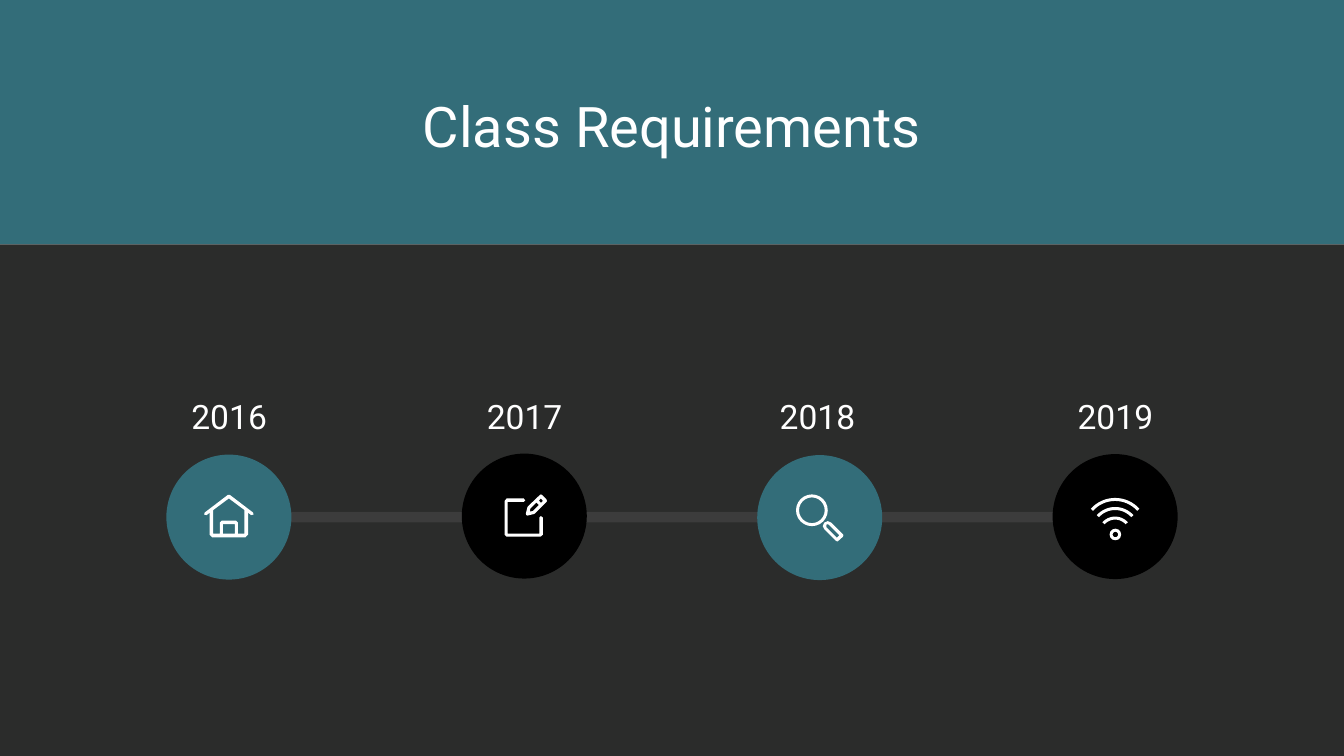
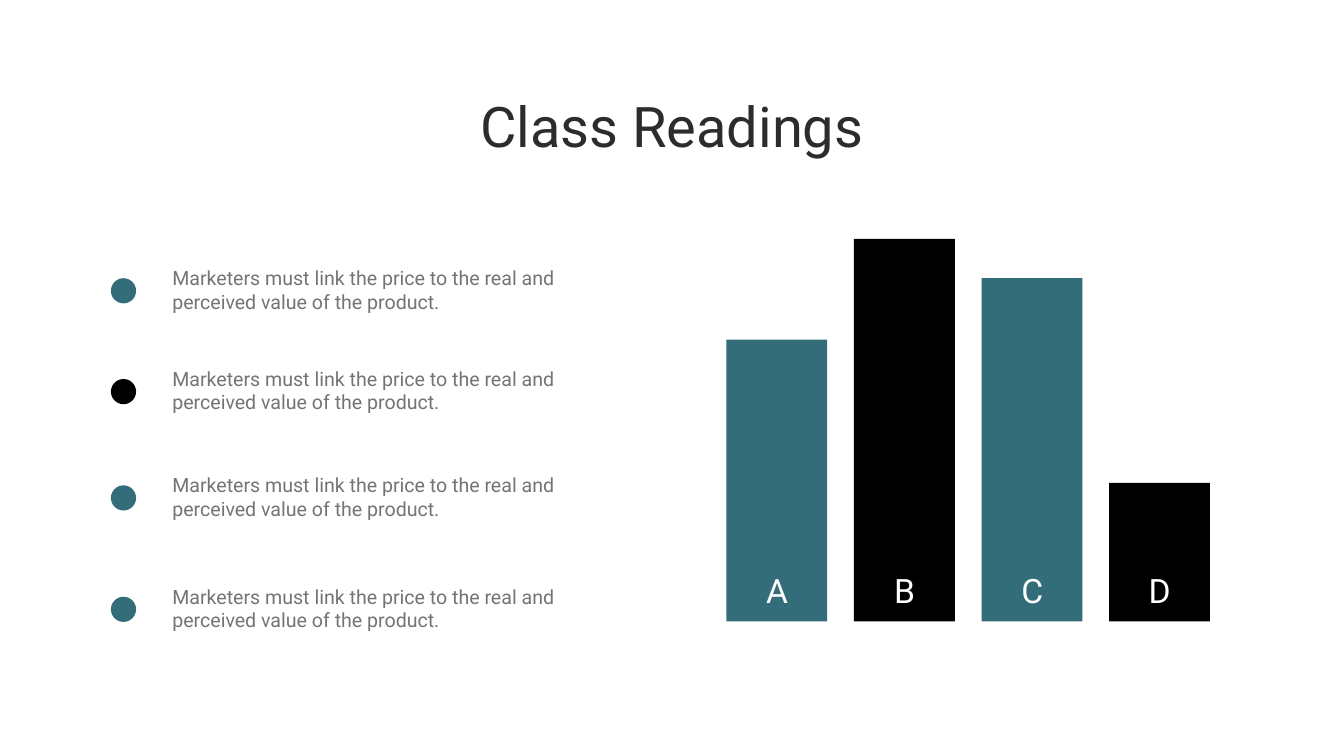
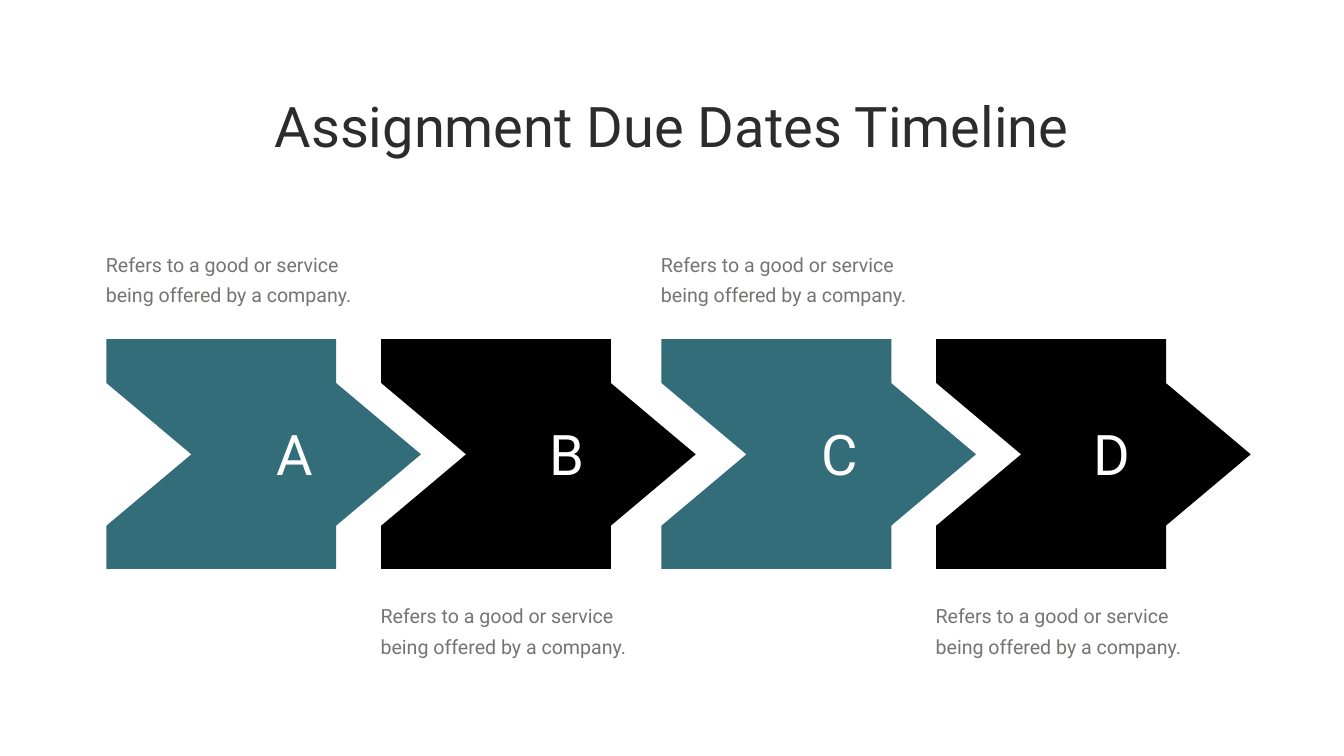
from math import cos, radians, sin

from lxml import etree
from pptx import Presentation
from pptx.dml.color import RGBColor
from pptx.enum.shapes import MSO_CONNECTOR, MSO_SHAPE
from pptx.enum.text import MSO_ANCHOR, MSO_AUTO_SIZE, PP_ALIGN
from pptx.oxml.ns import qn
from pptx.util import Inches, Pt

RECT, OVAL = MSO_SHAPE.RECTANGLE, MSO_SHAPE.OVAL
RING, WEDGE = MSO_SHAPE.DONUT, MSO_SHAPE.ISOSCELES_TRIANGLE
STRAIGHT = MSO_CONNECTOR.STRAIGHT
LEFT, CENTER = PP_ALIGN.LEFT, PP_ALIGN.CENTER
TOP, FIXED = MSO_ANCHOR.TOP, MSO_AUTO_SIZE.NONE

TEAL = RGBColor(0x33, 0x6D, 0x79)
BLACK = RGBColor(0, 0, 0)
DARK = RGBColor(0x2B, 0x2C, 0x2B)
GRAY = RGBColor(0x73, 0x75, 0x72)
RAIL = RGBColor(0x80, 0x80, 0x80)
WHITE = RGBColor(0xFF, 0xFF, 0xFF)
FONT = "Roboto"
WIDTH, HEIGHT = 26.66, 15
BAND = 4.85

# Icon outlines, in hundredths of an inch from the centre of the disc
HOUSE = (
    ((48, -9), (2, -44), (-2, -44), (-48, -9), (-49, -5), (-44, -4), (-38, -9),
     (-38, 35), (-33, 40), (33, 40), (38, 35), (38, -9), (44, -4), (49, -5)),
    ((31, 33), (18, 33), (18, 11), (14, 7), (-14, 7), (-18, 11), (-18, 33),
     (-31, 33), (-31, -14), (0, -37), (31, -14)),
    ((12, 33), (-12, 33), (-12, 14), (12, 14)),
)
NOTE = (
    ((33, 0), (30, 3), (30, 35), (-33, 35), (-33, -28), (-1, -28), (2, -31),
     (-1, -35), (-35, -35), (-39, -30), (-39, 37), (-35, 41), (32, 41),
     (37, 37), (37, 3)),
)
PENCIL = (
    ((44, -33), (35, -42), (33, -43), (31, -42), (7, -19), (6, -17), (3, -5),
     (4, -2), (6, -1), (19, -4), (21, -5), (44, -28), (45, -30)),
    ((33, -26), (29, -31), (33, -35), (37, -30)),
    ((17, -10), (11, -9), (12, -15), (24, -27), (29, -22)),
)
HANDLE = (
    ((34, 47), (32, 46), (9, 23), (6, 17), (9, 10), (16, 7), (23, 10),
     (46, 33), (47, 35), (46, 38), (36, 47)),
    ((16, 13), (13, 14), (13, 19), (34, 40), (39, 35), (18, 14)),
)


def paint(shape, fill):
    shape.shadow.inherit = False
    shape.fill.solid()
    shape.fill.fore_color.rgb = fill
    shape.line.fill.background()
    return shape


def add_form(slide, kind, box, fill):
    return paint(slide.shapes.add_shape(kind, *map(Inches, box)), fill)


def set_text(shape, text, size=28, color=GRAY, align=LEFT, wrap=True,
             inset=(0.1, 0.05), pitch=None):
    frame = shape.text_frame
    frame.text = text
    frame.word_wrap = wrap
    frame.auto_size = FIXED
    frame.vertical_anchor = TOP
    frame.margin_left = frame.margin_right = Inches(inset[0])
    frame.margin_top = frame.margin_bottom = Inches(inset[1])
    para = frame.paragraphs[0]
    para.alignment = align
    if pitch:
        para.line_spacing = Pt(pitch)
    font = para.runs[0].font
    font.name, font.size, font.color.rgb = FONT, Pt(size), color


def add_text(slide, box, text, **style):
    set_text(slide.shapes.add_textbox(*map(Inches, box)), text, **style)


def add_title(slide, text, color=DARK):
    title = slide.shapes.title
    title.left, title.top = Inches(4.24), Inches(1.76)
    title.width, title.height = Inches(18.18), Inches(1.45)
    set_text(title, text, size=80, color=color, align=CENTER)
    slide.shapes.element.append(title.element)  # in front of any band


# Icons
def draw(slide, x, y, paths):
    pen = None
    for path in paths:
        first, *rest = [(Inches(a / 100), Inches(b / 100)) for a, b in path]
        if pen:
            pen.move_to(*first)
        else:
            pen = slide.shapes.build_freeform(*first)
        pen.add_line_segments(rest, close=True)
    paint(pen.convert_to_shape(Inches(x), Inches(y)), WHITE)


def add_ring(slide, x, y, size):
    ring = add_form(slide, RING, (x, y, size, size), WHITE)
    ring.adjustments[0] = 0.06 / size


def add_house(slide, x, y):
    draw(slide, x, y, HOUSE)


def add_note(slide, x, y):
    draw(slide, x, y, NOTE)
    draw(slide, x, y, PENCIL)


def add_lens(slide, x, y):
    draw(slide, x, y, HANDLE)
    add_ring(slide, x - 0.47, y - 0.46, 0.63)


def add_waves(slide, x, y):
    turns = [radians(d) for d in range(-48, 49, 6)]
    for top, size in ((-37, 65), (-19, 49), (0, 34)):
        outer = [(size * sin(t), top + size - size * cos(t)) for t in turns]
        thin = size - 6
        inner = [(thin * sin(t), top + size - thin * cos(t)) for t in turns]
        draw(slide, x, y, [outer + inner[::-1]])
    add_ring(slide, x - 0.11, y + 0.24, 0.23)


# Slide 1: years on a rail
def add_rail(slide, x, y, length):
    rail = slide.shapes.add_connector(
        STRAIGHT, *map(Inches, (x, y, x + length, y)))
    rail.line.width = Pt(15)
    rail.line.color.rgb = RAIL
    tint = rail.line.fill.fore_color  # solid fill is in place
    tint.rgb = RAIL
    props = rail.element.spPr
    shade = props.find(".//" + qn("a:srgbClr"))
    etree.SubElement(shade, qn("a:alpha"), val="20000")
    etree.SubElement(props, qn("a:effectLst"))


def add_stop(slide, x, y, fill, icon):
    disc = 2.48
    add_form(slide, OVAL, (x - disc / 2, y - disc / 2, disc, disc), fill)
    icon(slide, x, y)


def build_years(slide):
    add_form(slide, RECT, (0, 0, WIDTH, BAND), TEAL)
    add_form(slide, RECT, (0, BAND, WIDTH, HEIGHT - BAND), DARK)
    add_title(slide, "Class Requirements", WHITE)
    add_rail(slide, 4.44, 10.26, 17.82)
    stops = (("2016", 2.14, 10.26, TEAL, add_house),
             ("2017", 8, 10.24, BLACK, add_note),
             ("2018", 13.81, 10.27, TEAL, add_lens),
             ("2019", 19.72, 10.25, BLACK, add_waves))
    for i, (year, left, mid, fill, icon) in enumerate(stops):
        add_stop(slide, 4.54 + 5.86 * i, mid, fill, icon)
        add_text(slide, (left, 7.81, 4.81, 0.91), year,
                 size=48, color=WHITE, align=CENTER)


# Slide 2: points and bars
def add_point(slide, x, y, fill):
    add_text(slide, (x + 1.12, y, 8.27, 1.04),
             "Marketers must link the price to the real and "
             "perceived value of the product.")
    add_form(slide, OVAL, (x, y + 0.29, 0.5, 0.5), fill)


def add_bar(slide, x, base, tall, name, fill):
    add_form(slide, RECT, (x, base - tall, 2, tall), fill)
    add_text(slide, (x + 0.28, base - 1.08, 1.45, 0.91), name,
             size=48, color=WHITE, align=CENTER)


def build_bars(slide):
    add_title(slide, "Class Readings")
    points = ((5.23, TEAL), (7.23, BLACK), (9.34, TEAL), (11.55, TEAL))
    for top, fill in points:
        add_point(slide, 2.2, top, fill)
    bars = (("A", 5.59, TEAL), ("B", 7.59, BLACK),
            ("C", 6.81, TEAL), ("D", 2.75, BLACK))
    for i, (name, tall, fill) in enumerate(bars):
        add_bar(slide, 14.41 + 2.53 * i, 12.33, tall, name, fill)


# Slide 3: chevrons with captions
def add_step(slide, x, y, fill):
    side = 4.56
    add_form(slide, RECT, (x, y, side, side), fill)
    for shift, tone in ((0, WHITE), (side, fill)):
        wedge = add_form(
            slide, WEDGE, (x + shift - 0.72, y + 1.39, 3.01, 1.79), tone)
        wedge.rotation = 90


def build_steps(slide):
    add_title(slide, "Assignment Due Dates Timeline")
    steps = (("A", 2.11, TEAL, 4.77), ("B", 7.56, BLACK, 11.74),
             ("C", 13.12, TEAL, 4.77), ("D", 18.57, BLACK, 11.74))
    # Last step first, so each tip lies over the next notch
    for name, left, fill, top in reversed(steps):
        add_step(slide, left, 6.73, fill)
    for i, (name, left, fill, top) in enumerate(steps):
        add_text(slide, (left - 0.25, top, 5.45, 1.39),
                 "Refers to a good or service being offered by a company.",
                 inset=(0.24, 0.12), pitch=43)
        add_text(slide, (5.38 + 5.4 * i, 8.28, 0.95, 1.45), name,
                 size=80, color=WHITE, align=CENTER, wrap=False)


def main():
    deck = Presentation()
    deck.slide_width, deck.slide_height = Inches(WIDTH), Inches(HEIGHT)
    for build in (build_years, build_bars, build_steps):
        build(deck.slides.add_slide(deck.slide_layouts[5]))
    deck.save("out.pptx")


if __name__ == "__main__":
    main()
